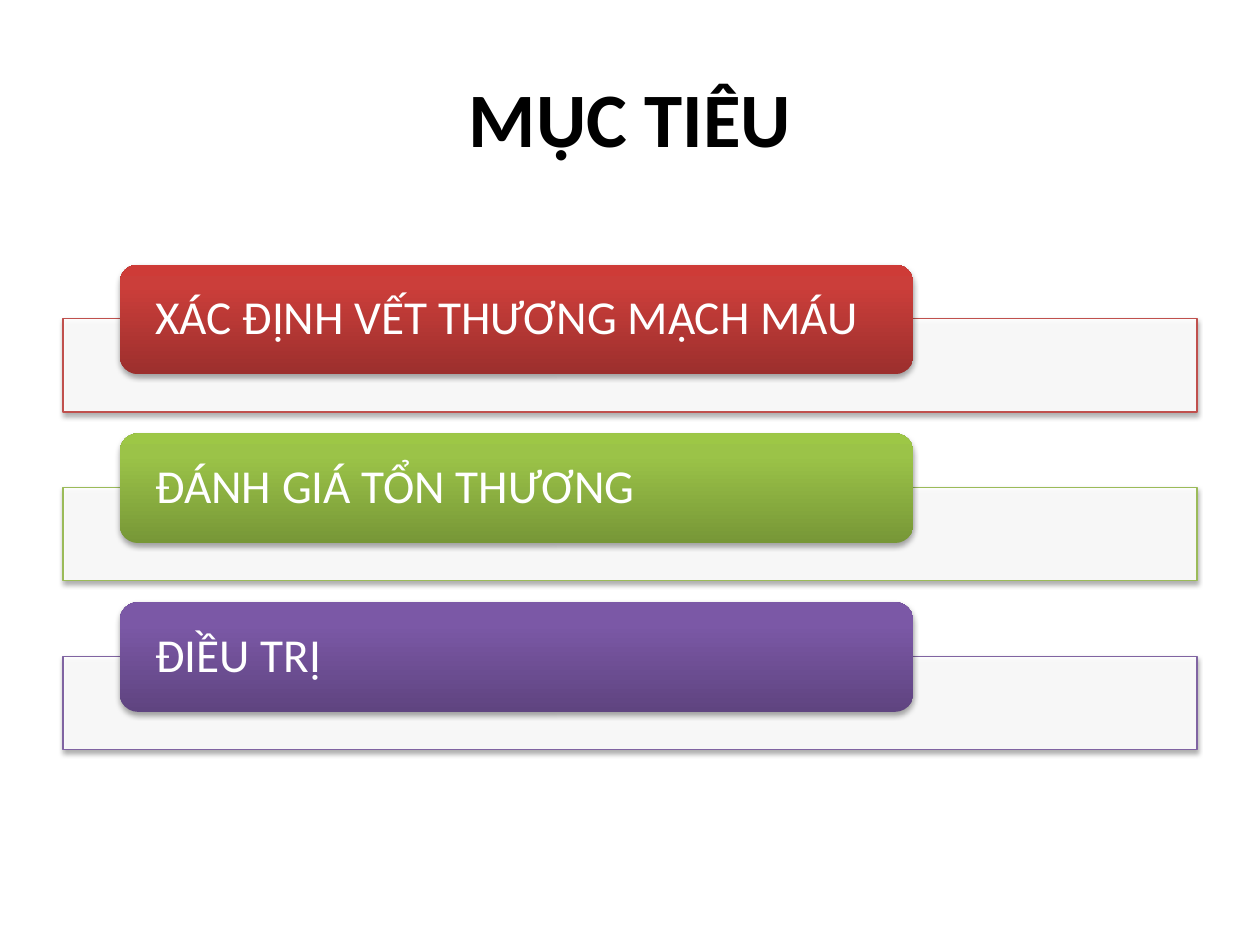
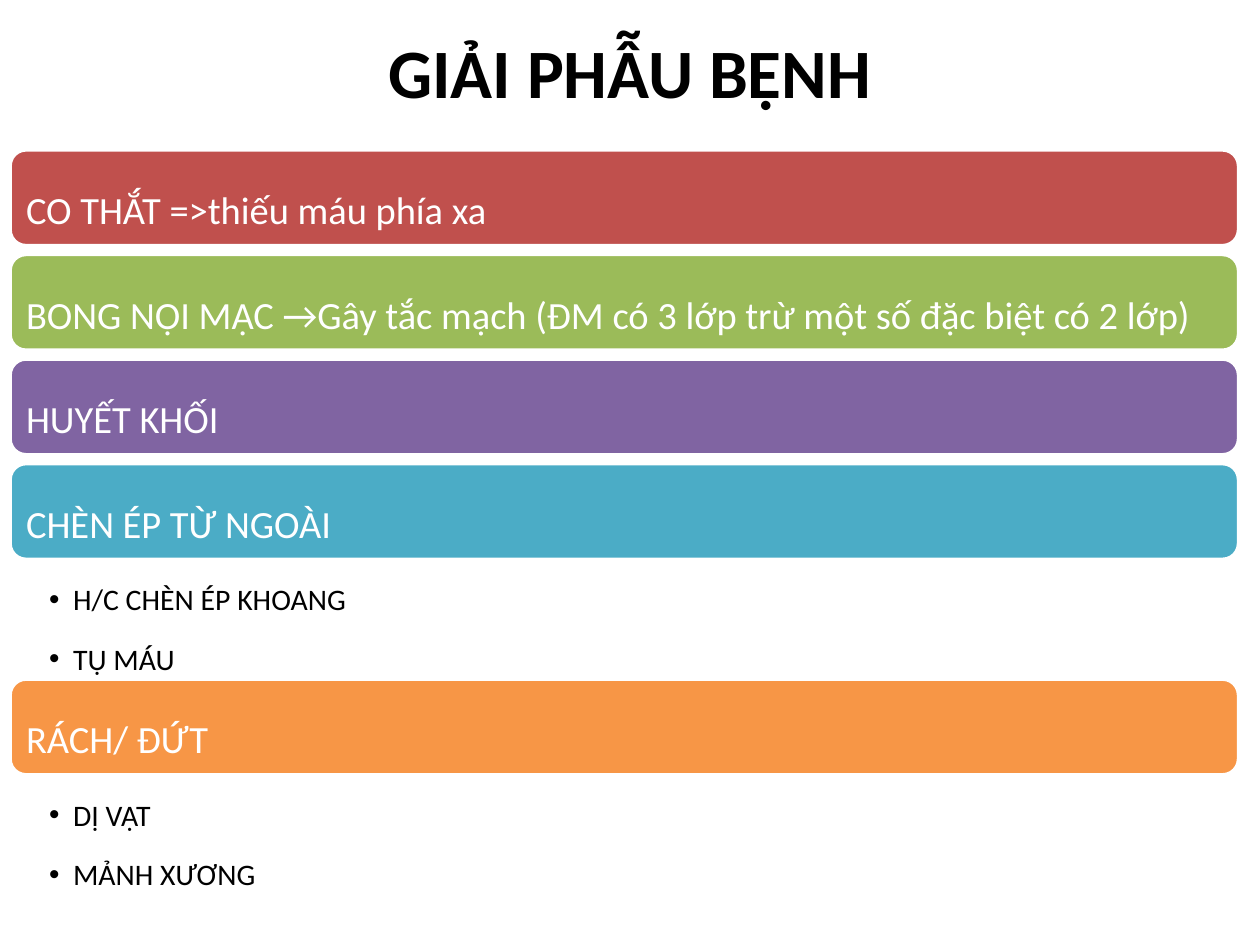
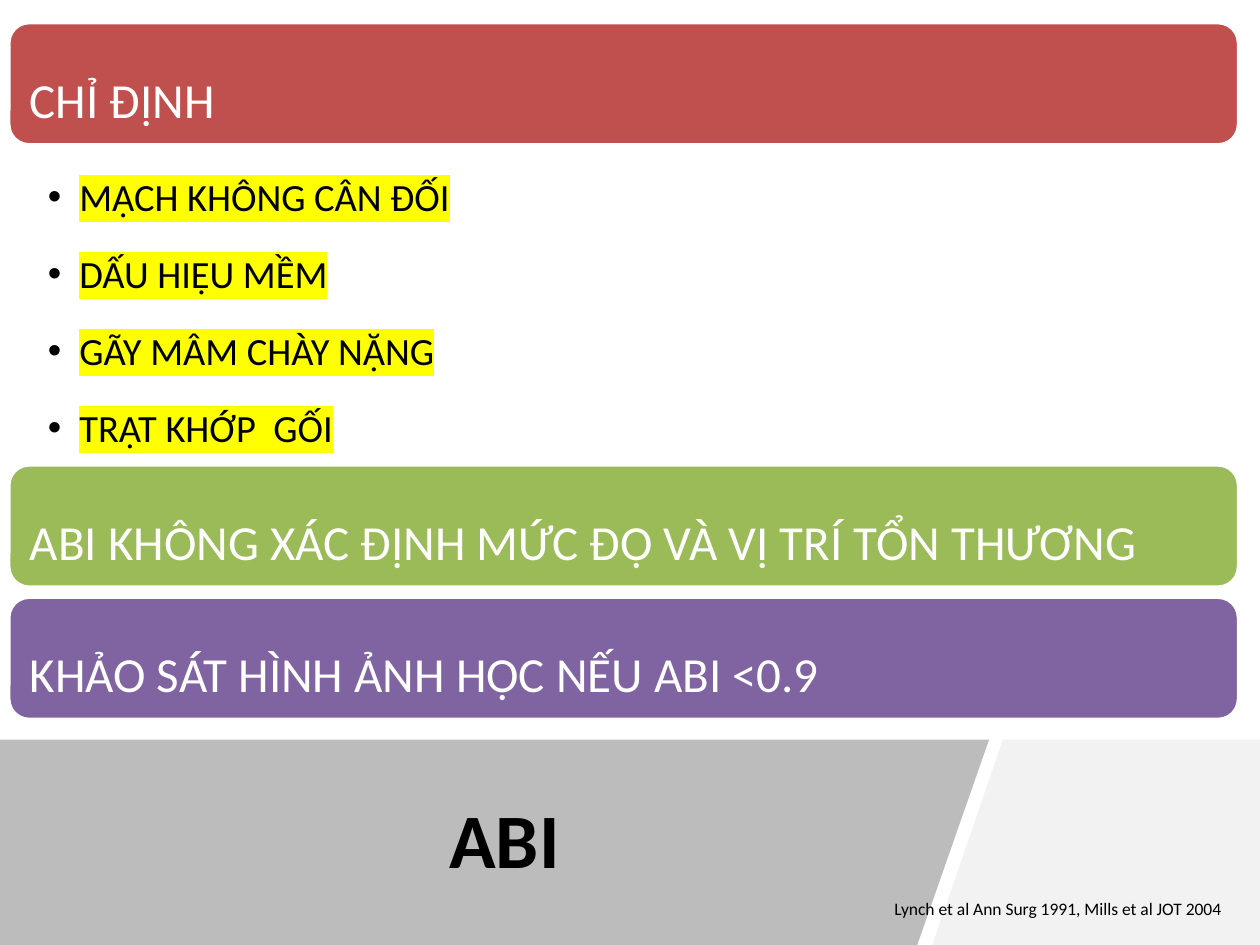
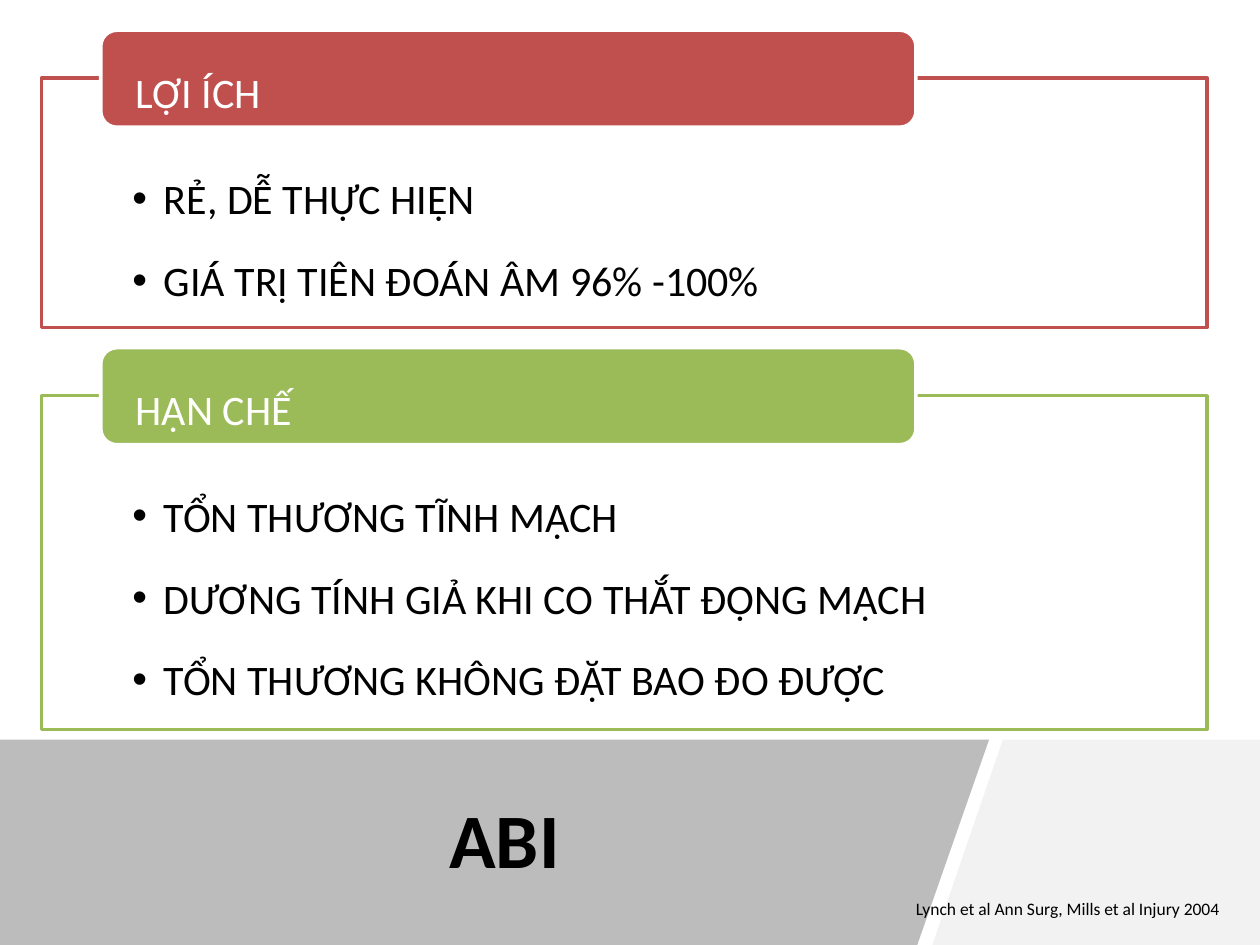
from lxml import etree
from pptx import Presentation
from pptx.dml.color import RGBColor
from pptx.enum import shapes, text
from pptx.oxml import ns
from pptx.util import Inches, Pt

FONT = "Calibri"
BLACK = RGBColor(0x00, 0x00, 0x00)
WHITE = RGBColor(0xFF, 0xFF, 0xFF)
RED = RGBColor(0xC0, 0x50, 0x4D)
GREEN = RGBColor(0x9B, 0xBB, 0x59)
PURPLE = RGBColor(0x80, 0x64, 0xA2)
TEAL = RGBColor(0x4B, 0xAC, 0xC6)
ORANGE = RGBColor(0xF7, 0x96, 0x46)
LIGHT_GRAY = RGBColor(0xF2, 0xF2, 0xF2)
DARK_GRAY = RGBColor(0x59, 0x59, 0x59)
YELLOW = RGBColor(0xFF, 0xFF, 0x00)
ACCENTS = [RED, GREEN, PURPLE, TEAL, ORANGE]
GRADIENTS = [
    [(0, "9C2F2D"), (80, "CB3E3A"), (100, "CE3B37")],
    [(0, "779737"), (80, "9BC348"), (100, "9DC746")],
    [(0, "5F4480"), (80, "7B58A6"), (100, "7C57A8")],
]

RECTANGLE = shapes.MSO_SHAPE.RECTANGLE
ROUNDED = shapes.MSO_SHAPE.ROUNDED_RECTANGLE
MIDDLE = text.MSO_ANCHOR.MIDDLE
TOP = text.MSO_ANCHOR.TOP

GOALS = ["XÁC ĐỊNH VẾT THƯƠNG MẠCH MÁU", "ĐÁNH GIÁ TỔN THƯƠNG", "ĐIỀU TRỊ"]

PATHOLOGY = [
    ("CO THẮT =>thiếu máu phía xa", []),
    ("BONG NỘI MẠC →Gây tắc mạch (ĐM có 3 lớp trừ một số đặc biệt có 2 lớp)", []),
    ("HUYẾT KHỐI", []),
    ("CHÈN ÉP TỪ NGOÀI", ["H/C CHÈN ÉP KHOANG", "TỤ MÁU"]),
    ("RÁCH/ ĐỨT", ["DỊ VẬT", "MẢNH XƯƠNG"]),
]
PATHOLOGY_STYLE = dict(
    left=0.08, top=1.19, width=9.75, bar_height=0.76, gap=0.07, list_height=0.95,
    bar_size=22, bar_inset=0.09, list_size=17, list_insets=(0.31, 0.03, 0.17, 0.03),
    indent=0.19)

INDICATIONS = [
    ("CHỈ ĐỊNH", ["MẠCH KHÔNG CÂN ĐỐI", "DẤU HIỆU MỀM", "GÃY MÂM CHÀY NẶNG",
                  "TRẬT KHỚP  GỐI"]),
    ("ABI KHÔNG XÁC ĐỊNH MỨC ĐỘ VÀ VỊ TRÍ TỔN THƯƠNG", []),
    ("KHẢO SÁT HÌNH ẢNH HỌC NẾU ABI <0.9", []),
]
INDICATIONS_STYLE = dict(
    left=0.07, top=0.18, width=9.76, bar_height=0.97, gap=0.08, list_height=2.54,
    bar_size=28, bar_inset=0.12, list_size=22, list_insets=(0.31, 0.04, 0.22, 0.04),
    indent=0.25, highlight=YELLOW)

PROS_AND_CONS = [
    ("LỢI ÍCH", 1.98, ["RẺ, DỄ THỰC HIỆN", "GIÁ TRỊ TIÊN ĐOÁN ÂM 96% -100%"]),
    ("HẠN CHẾ", 2.65, ["TỔN THƯƠNG TĨNH MẠCH", "DƯƠNG TÍNH GIẢ KHI CO THẮT ĐỘNG MẠCH",
                       "TỔN THƯƠNG KHÔNG ĐẶT BAO ĐO ĐƯỢC"]),
]

BAND_TOP, BAND_BOTTOM = 5.87, 7.5
BANDS = [
    (LIGHT_GRAY, None, [(7.96, BAND_TOP), (10, BAND_TOP), (10, BAND_BOTTOM), (7.4, BAND_BOTTOM)]),
    (DARK_GRAY, 40, [(0, BAND_TOP), (7.85, BAND_TOP), (7.28, BAND_BOTTOM), (0, BAND_BOTTOM)]),
]


def add_child(parent, tag, **attributes):
    values = {name: str(value) for name, value in attributes.items()}
    return etree.SubElement(parent, ns.qn(tag), values)


def write_text(shape, lines, size, color=BLACK, bold=False, align=text.PP_ALIGN.LEFT,
               anchor=TOP, insets=None, wrap=True, line_spacing=None, space_after=0,
               indent=None, highlight=None):
    frame = shape.text_frame
    frame.word_wrap = wrap
    frame.vertical_anchor = anchor
    if insets:
        (frame.margin_left, frame.margin_top,
         frame.margin_right, frame.margin_bottom) = map(Inches, insets)
    for number, line in enumerate(lines):
        paragraph = frame.add_paragraph() if number else frame.paragraphs[0]
        if indent:
            paragraph.level = 1
            properties = paragraph._p.get_or_add_pPr()
            properties.set("marL", str(Inches(indent)))
            properties.set("indent", str(-Inches(indent)))
            add_child(properties, "a:buFont", typeface="Arial")
            add_child(properties, "a:buChar", char="•")
        paragraph.alignment = align
        if line_spacing:
            paragraph.line_spacing = line_spacing
        if space_after:
            paragraph.space_after = Pt(space_after)
        run = paragraph.add_run()
        run.text = line
        run.font.size = Pt(size)
        run.font.bold = bold
        run.font.color.rgb = color
        run.font.name = FONT
        if highlight:
            latin = run._r.rPr.find(ns.qn("a:latin"))
            mark = latin.makeelement(ns.qn("a:highlight"))
            add_child(mark, "a:srgbClr", val=highlight)
            latin.addprevious(mark)


def paint(shape, fill, line=None, line_width=2, opacity=None):
    shape.shadow.inherit = False
    shape.fill.solid()
    shape.fill.fore_color.rgb = fill
    if opacity:
        color = shape.element.spPr.find(ns.qn("a:solidFill"))[0]
        add_child(color, "a:alpha", val=opacity * 1000)
    if line is None:
        shape.line.fill.background()
    else:
        shape.line.color.rgb = line
        shape.line.width = Pt(line_width)


def paint_gradient(shape, stops):
    shape.fill.gradient()
    shape.fill.gradient_angle = 90
    stop_list = shape.element.spPr.find(".//" + ns.qn("a:gsLst"))
    for stop in list(stop_list):
        stop_list.remove(stop)
    for position, color in stops:
        add_child(add_child(stop_list, "a:gs", pos=position * 1000), "a:srgbClr", val=color)


def add_shadow(shape):
    effects = shape.element.spPr.find(ns.qn("a:effectLst"))
    shadow = add_child(effects, "a:outerShdw", blurRad=Pt(3.1), dist=Pt(1.8),
                       dir=5400000, rotWithShape=0)
    add_child(add_child(shadow, "a:srgbClr", val=BLACK), "a:alpha", val=35000)


def add_box(slide, kind, left, top, width, height, **format):
    shape = slide.shapes.add_shape(kind, *map(Inches, (left, top, width, height)))
    paint(shape, **format)
    return shape


def add_titled_slide(presentation, title, position, size=44):
    slide = presentation.slides.add_slide(presentation.slide_layouts[5])
    shape = slide.shapes.title
    shape.left, shape.top, shape.width, shape.height = map(Inches, position)
    write_text(shape, [title], size, bold=True, align=text.PP_ALIGN.CENTER, anchor=MIDDLE)
    return slide


def add_abi_slide(presentation, citation, citation_left, citation_width):
    slide = add_titled_slide(presentation, "ABI", (0.69, 6.05, 6.63, 1.2))
    for color, opacity, corners in BANDS:
        points = [(Inches(x), Inches(y)) for x, y in corners]
        builder = slide.shapes.build_freeform(*points[0])
        builder.add_line_segments(points[1:])
        band = builder.convert_to_shape()
        paint(band, color, opacity=opacity)
        slide.shapes.title.element.addprevious(band.element)
    source = slide.shapes.add_textbox(
        *map(Inches, (citation_left, 7.08, citation_width, 0.27)))
    write_text(source, [citation], 10, wrap=False)
    return slide


def add_bars(slide, items, left, top, width, bar_height, gap, list_height, bar_size,
             bar_inset, list_size, list_insets, indent, highlight=None):
    for (heading, details), color in zip(items, ACCENTS):
        bar = add_box(slide, ROUNDED, left, top, width, bar_height, fill=color, line=WHITE)
        write_text(bar, [heading], bar_size, WHITE, anchor=MIDDLE,
                   insets=[bar_inset] * 4, line_spacing=1.5)
        top += bar_height
        if details:
            box = slide.shapes.add_textbox(*map(Inches, (left, top, width, list_height)))
            write_text(box, details, list_size, insets=list_insets, line_spacing=1.5,
                       space_after=0.2 * list_size, indent=indent, highlight=highlight)
            top += list_height
        else:
            top += gap


def add_goals(slide):
    pitch, tab_rise = 1.34, 0.43
    for row, (goal, color, stops) in enumerate(zip(GOALS, ACCENTS, GRADIENTS)):
        top = 2.53 + row * pitch
        frame = add_box(slide, RECTANGLE, 0.5, top, 9, 0.74, fill=WHITE, line=color,
                        line_width=0.75, opacity=90)
        tab = add_box(slide, ROUNDED, 0.95, top - tab_rise, 6.3, 0.87, fill=color)
        paint_gradient(tab, stops)
        add_shadow(frame)
        add_shadow(tab)
        write_text(tab, [goal], 27, WHITE, anchor=MIDDLE, insets=(0.24, 0, 0.24, 0),
                   line_spacing=0.9)


def add_pros_and_cons(slide):
    top, gap, tab_rise = 0.62, 0.54, 0.38
    for (heading, height, details), color in zip(PROS_AND_CONS, ACCENTS):
        frame = add_box(slide, RECTANGLE, 0.33, top, 9.25, height, fill=WHITE, line=color,
                        opacity=90)
        write_text(frame, details, 24, insets=(0.72, 0.55, 0.72, 0.19), line_spacing=1.5,
                   space_after=3.6, indent=0.25)
        tab = add_box(slide, ROUNDED, 0.8, top - tab_rise, 6.47, 0.77, fill=color, line=WHITE)
        write_text(tab, [heading], 24, WHITE, anchor=MIDDLE, insets=(0.24, 0, 0.24, 0),
                   line_spacing=1.5)
        top += height + gap


def main():
    presentation = Presentation()
    presentation.slide_width, presentation.slide_height = Inches(10), Inches(7.5)

    add_goals(add_titled_slide(presentation, "MỤC TIÊU", (0.5, 0.3, 9, 1.25)))

    pathology = add_titled_slide(presentation, "GIẢI PHẪU BỆNH", (0.5, 0.17, 9, 0.78), 39.6)
    add_bars(pathology, PATHOLOGY, **PATHOLOGY_STYLE)

    indications = add_abi_slide(
        presentation, "Lynch et al Ann Surg 1991, Mills et al JOT 2004", 7, 2.85)
    add_bars(indications, INDICATIONS, **INDICATIONS_STYLE)

    add_pros_and_cons(add_abi_slide(
        presentation, "Lynch et al Ann Surg, Mills et al Injury 2004", 7.17, 2.65))

    presentation.save("out.pptx")


if __name__ == "__main__":
    main()
